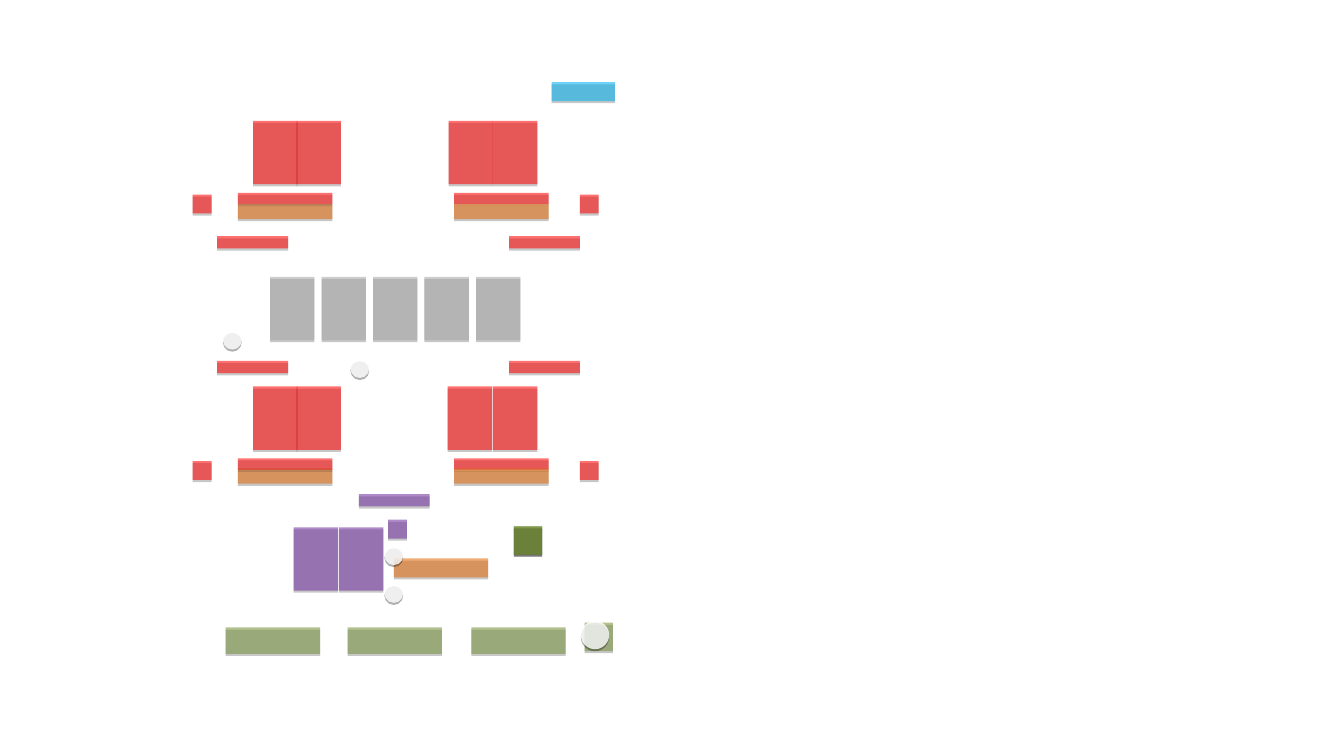
"""Builds a card table layout with four seats, a board, a dealer area and chips."""
from lxml import etree
from pptx import Presentation
from pptx.dml.color import RGBColor
from pptx.enum.shapes import MSO_SHAPE
from pptx.oxml.ns import qn

RECT, CHIP = MSO_SHAPE.RECTANGLE, MSO_SHAPE.FLOWCHART_OR
PX = 9144
SLIDE_W, SLIDE_H = 1423, 800
COLORS = {"red": "FF0000", "orange": "E46C0A", "purple": "7030A0", "gray": "A6A6A6",
          "green": "77933C", "blue": "00B0F0", "white": "FFFFFF", "shadow": "000000"}
ALPHA = {RECT: 56, CHIP: 81}
SHADOW = {"blurRad": 0, "dist": 20000, "dir": 5400000, "rotWithShape": 0}
SHADOW_ALPHA = 38

SIZES = {"card": (47, 67), "token": (20, 20), "label": (75, 13), "name": (100, 12),
         "stack": (100, 16), "bet": (100, 20), "action": (100, 28), "button": (30, 30),
         "menu": (67, 20)}

PLAYER = [("purple", "token", 411, 550), ("orange", "bet", 417, 591),
          ("purple", "label", 380, 523), ("purple", "card", 359, 558),
          ("purple", "card", 311, 558)]
BOARD_LEFT, BOARD_TOP, BOARD_STEP, BOARD_CARDS = 286, 293, 54.5, 5
SIDES = {
    "left": {"token": 204, "label": 230, "strip": 252, "order": ("stack", "name")},
    "right": {"token": 614, "label": 539, "strip": 481, "order": ("name", "stack")},
}
ROWS = {
    "top": {"token": 206, "label": 250, "name": 204, "stack": 216, "card": 128},
    "bottom": {"token": 488, "label": 382, "name": 485, "stack": 496, "card": 409},
}
SEATS = [("left", "bottom", (314, 268)), ("left", "top", (314, 268)),
         ("right", "top", (522, 475)), ("right", "bottom", (522, 474))]
ACTION_LEFTS, ACTION_TOP = (239, 368, 499), 664
STACKED_BUTTONS = 3
CONTROLS = [("green", "button", 544, 557)] * STACKED_BUTTONS + [
    ("green", "button", 619, 659), ("blue", "menu", 584, 87)]
CHIPS = [("white", "token", 371, 380), ("white", "token", 236, 350),
         ("white", "token", 407, 578), ("white", "token", 407, 618),
         ("white", "button", 615, 657)]


def add_alpha(color, percent):
    etree.SubElement(color, qn("a:alpha"), val=str(percent * 1000))


def add_piece(slide, shape, color, size, left, top):
    box = [round(v * PX) for v in (left, top, *SIZES[size])]
    sp = slide.shapes.add_shape(shape, *box)
    sp.fill.solid()
    sp.fill.fore_color.rgb = RGBColor.from_string(COLORS[color])
    sp.line.fill.background()
    sp.shadow.inherit = False
    props = sp.element.spPr
    add_alpha(props.find(f"{qn('a:solidFill')}/{qn('a:srgbClr')}"), ALPHA[shape])
    shadow = etree.SubElement(props.find(qn("a:effectLst")), qn("a:outerShdw"))
    for key, value in SHADOW.items():
        shadow.set(key, str(value))
    add_alpha(etree.SubElement(shadow, qn("a:srgbClr"), val=COLORS["shadow"]), SHADOW_ALPHA)


def seat_pieces(side, row, card_lefts):
    x, y = SIDES[side], ROWS[row]
    pieces = [("red", size, x[size], y[size]) for size in ("token", "label")]
    pieces += [("orange" if size == "stack" else "red", size, x["strip"], y[size])
               for size in x["order"]]
    return pieces + [("red", "card", left, y["card"]) for left in card_lefts]


def main():
    prs = Presentation()
    prs.slide_width, prs.slide_height = SLIDE_W * PX, SLIDE_H * PX
    slide = prs.slides.add_slide(prs.slide_layouts[6])

    pieces = PLAYER + [("gray", "card", BOARD_LEFT + i * BOARD_STEP, BOARD_TOP)
                       for i in reversed(range(BOARD_CARDS))]
    for seat in SEATS:
        pieces += seat_pieces(*seat)
    pieces += [("green", "action", left, ACTION_TOP) for left in ACTION_LEFTS]
    pieces += CONTROLS

    for shape, group in ((RECT, pieces), (CHIP, CHIPS)):
        for piece in group:
            add_piece(slide, shape, *piece)
    prs.save("out.pptx")


if __name__ == "__main__":
    main()
